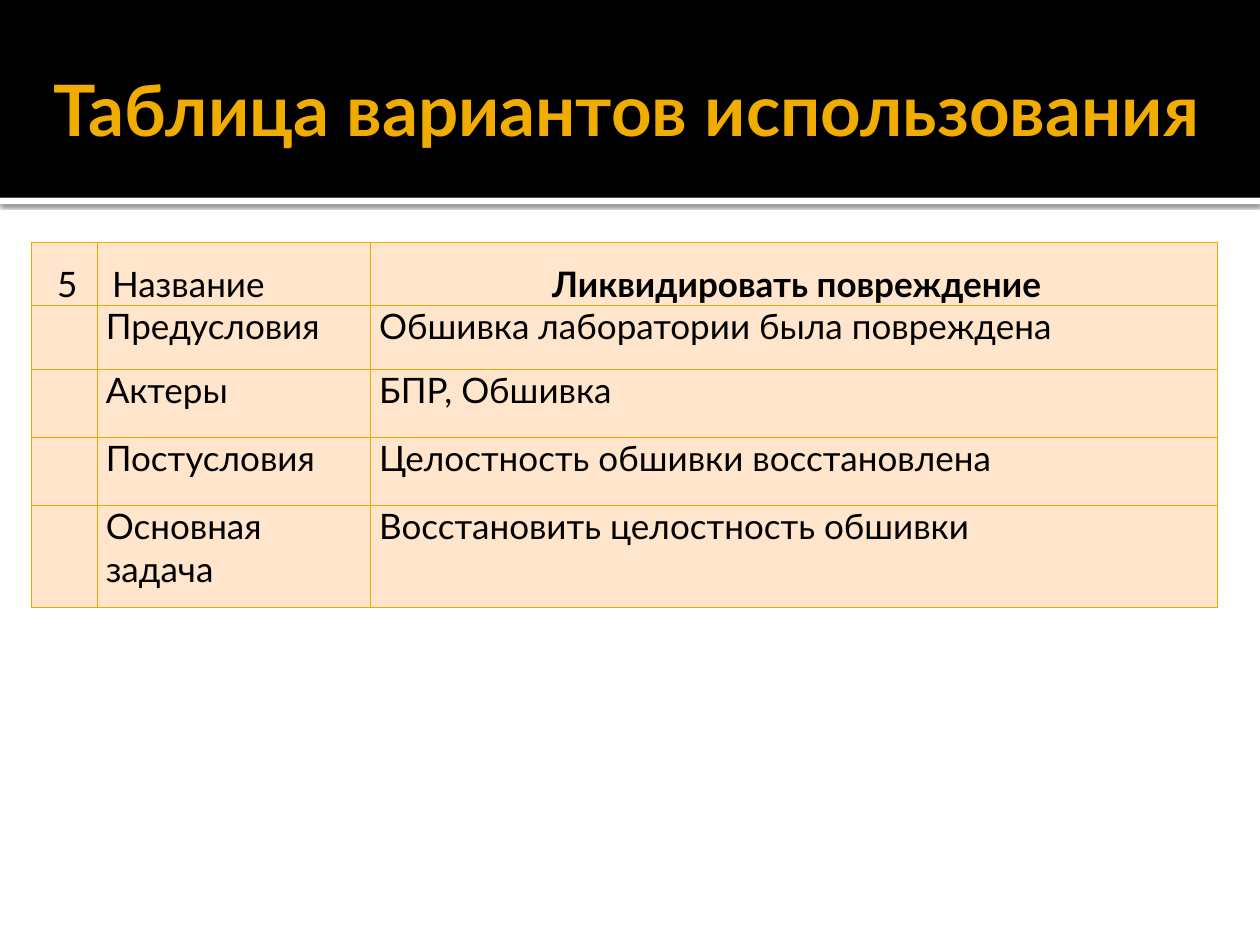
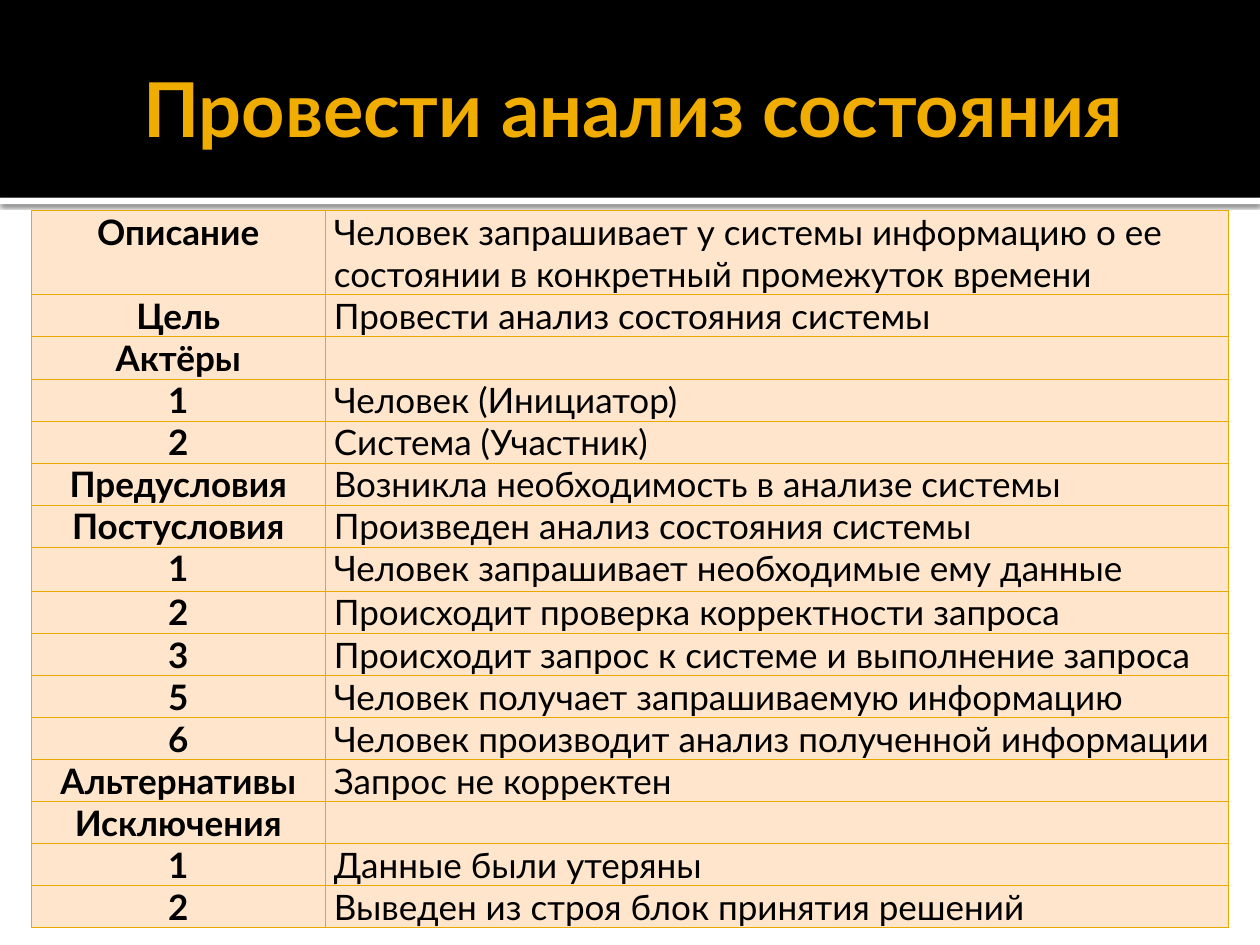
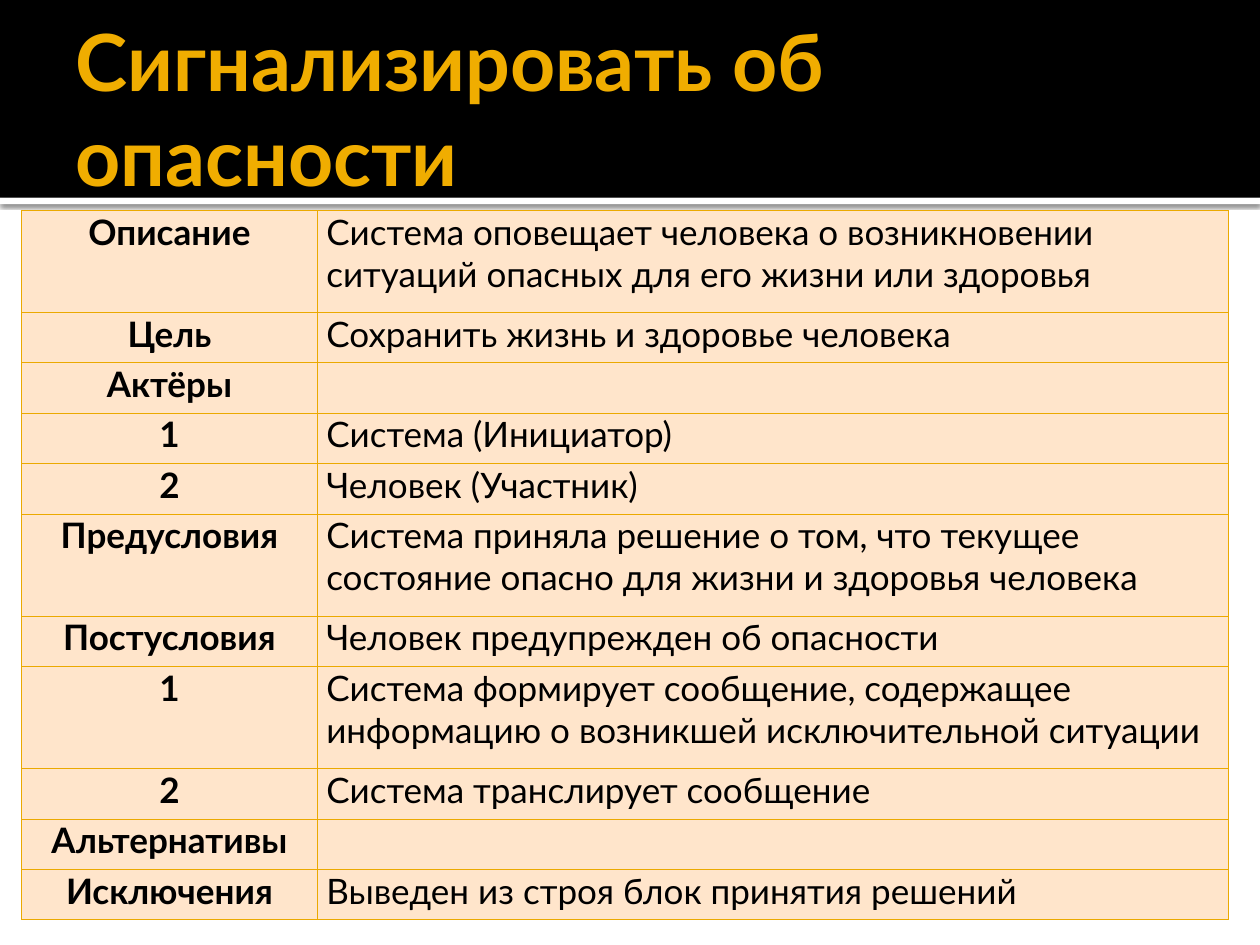
from dataclasses import dataclass

from lxml.etree import SubElement
from pptx import Presentation
from pptx.dml.color import RGBColor
from pptx.enum.shapes import MSO_SHAPE
from pptx.enum.text import MSO_ANCHOR, PP_ALIGN
from pptx.oxml import parse_xml
from pptx.oxml.ns import nsdecls, qn
from pptx.slide import Slide
from pptx.table import _Cell
from pptx.util import Inches, Pt

BLACK = RGBColor(0x00, 0x00, 0x00)
WHITE = RGBColor(0xFF, 0xFF, 0xFF)
GOLD = RGBColor(0xF0, 0xAD, 0x00)
BORDER = RGBColor(0xEB, 0xA9, 0x00)
PEACH = RGBColor(0xFF, 0xE5, 0xCB)
FONT = "Lato"
SLIDE_WIDTH = 10
BAND_HEIGHT = 1.57


@dataclass(frozen=True)
class Title:
    text: str
    size: float
    left: float = 0.5
    width: float = 9
    align: PP_ALIGN = PP_ALIGN.LEFT


@dataclass(frozen=True)
class UseCaseTable:
    left: float
    top: float
    columns: tuple[float, ...]
    row_heights: tuple[float, ...]
    rows: tuple[tuple[str, ...], ...]
    numbered: bool = False


@dataclass(frozen=True)
class UseCase:
    title: Title
    table: UseCaseTable


USE_CASES = (
    UseCase(
        Title("Таблица вариантов использования", 40.5, left=0.33, width=9.42),
        UseCaseTable(
            0.25, 1.92, (0.52, 2.17, 6.72), (0.5, 0.51, 0.54, 0.54, 0.81),
            (
                ("5", "Название", "Ликвидировать повреждение"),
                ("", "Предусловия", "Обшивка лаборатории была повреждена"),
                ("", "Актеры", "БПР, Обшивка"),
                ("", "Постусловия", "Целостность обшивки восстановлена"),
                ("", "Основная задача", "Восстановить целостность обшивки"),
            ),
            numbered=True,
        ),
    ),
    UseCase(
        Title("Провести анализ состояния", 43.2, align=PP_ALIGN.CENTER),
        UseCaseTable(
            0.25, 1.67, (2.33, 7.17), (0.67, *[0.33] * 6, 0.35, *[0.33] * 8),
            (
                ("Описание", "Человек запрашивает у системы информацию о ее "
                             "состоянии в конкретный промежуток времени"),
                ("Цель", "Провести анализ состояния системы"),
                ("Актёры", ""),
                ("1", "Человек (Инициатор)"),
                ("2", "Система (Участник)"),
                ("Предусловия", "Возникла необходимость в анализе системы"),
                ("Постусловия", "Произведен анализ состояния системы"),
                ("1", "Человек запрашивает необходимые ему данные"),
                ("2", "Происходит проверка корректности запроса"),
                ("3", "Происходит запрос к системе и выполнение запроса"),
                ("5", "Человек получает запрашиваемую информацию"),
                ("6", "Человек производит анализ полученной информации"),
                ("Альтернативы", "Запрос не корректен"),
                ("Исключения", ""),
                ("1", "Данные были утеряны"),
                ("2", "Выведен из строя блок принятия решений"),
            ),
        ),
    ),
    UseCase(
        Title("Сигнализировать об опасности", 45),
        UseCaseTable(
            0.17, 1.67, (2.35, 7.23),
            (0.81, *[0.4] * 4, 0.81, 0.4, 0.81, *[0.4] * 3),
            (
                ("Описание", "Система оповещает человека о возникновении "
                             "ситуаций опасных для его жизни или здоровья"),
                ("Цель", "Сохранить жизнь и здоровье человека"),
                ("Актёры", ""),
                ("1", "Система (Инициатор)"),
                ("2", "Человек (Участник)"),
                ("Предусловия", "Система приняла решение о том, что текущее "
                                "состояние опасно для жизни и здоровья человека"),
                ("Постусловия", "Человек предупрежден об опасности"),
                ("1", "Система формирует сообщение, содержащее "
                      "информацию о возникшей исключительной ситуации"),
                ("2", "Система транслирует сообщение"),
                ("Альтернативы", ""),
                ("Исключения", "Выведен из строя блок принятия решений"),
            ),
        ),
    ),
)


def add_band(slide: Slide, top: float, height: float, color: RGBColor, shadow: bool = False) -> None:
    band = slide.shapes.add_shape(
        MSO_SHAPE.RECTANGLE, 0, Inches(top), Inches(SLIDE_WIDTH), Inches(height))
    band.fill.solid()
    band.fill.fore_color.rgb = color
    band.line.fill.background()
    band.shadow.inherit = False
    if shadow:
        effects = band._element.spPr.find(qn("a:effectLst"))
        effects.append(parse_xml(
            f'<a:outerShdw {nsdecls("a")} blurRad="{Pt(2.5)}" dist="{Pt(0.8)}" dir="5400000" '
            f'algn="tl" rotWithShape="0"><a:srgbClr val="{BLACK}"><a:alpha val="60000"/>'
            '</a:srgbClr></a:outerShdw>'))


def add_title(slide: Slide, title: Title) -> None:
    frame = slide.shapes.add_textbox(
        Inches(title.left), Inches(0.17), Inches(title.width), Inches(1.37)).text_frame
    frame.word_wrap = True
    frame.vertical_anchor = MSO_ANCHOR.MIDDLE
    frame.margin_left = Inches(0.1)
    frame.margin_right = frame.margin_top = frame.margin_bottom = Inches(0.05)
    frame.text = title.text
    paragraph = frame.paragraphs[0]
    paragraph.alignment = title.align
    font = paragraph.runs[0].font
    font.name, font.size, font.bold = FONT, Pt(title.size), True
    font.color.rgb = GOLD


def add_borders(cell: _Cell) -> None:
    properties = cell._tc.get_or_add_tcPr()
    for position, side in enumerate(("lnL", "lnR", "lnT", "lnB")):
        line = SubElement(properties, qn(f"a:{side}"), w=str(Pt(0.5)))
        fill = SubElement(line, qn("a:solidFill"))
        SubElement(fill, qn("a:srgbClr"), val=str(BORDER))
        properties.insert(position, line)


def fill_cell(cell: _Cell, text: str, bold: bool, centered: bool, spaced: bool) -> None:
    cell.fill.solid()
    cell.fill.fore_color.rgb = PEACH
    add_borders(cell)
    cell.margin_left = cell.margin_right = Inches(0.07)
    cell.margin_top = cell.margin_bottom = 0
    if not text:
        return
    cell.text_frame.text = text
    paragraph = cell.text_frame.paragraphs[0]
    paragraph.alignment = PP_ALIGN.CENTER if centered else PP_ALIGN.LEFT
    if spaced:
        paragraph.line_spacing = 1.5
        paragraph.space_before = paragraph.space_after = Pt(2)
        paragraph._p.get_or_add_pPr().set("indent", str(Inches(0.05)))
    font = paragraph.runs[0].font
    font.name, font.size, font.bold = FONT, Pt(20), bold
    font.color.rgb = BLACK


def add_use_case_table(slide: Slide, content: UseCaseTable) -> None:
    table = slide.shapes.add_table(
        len(content.rows), len(content.columns), Inches(content.left), Inches(content.top),
        Inches(sum(content.columns)), Inches(sum(content.row_heights))).table
    table.first_row = table.horz_banding = False
    for column, width in zip(table.columns, content.columns):
        column.width = Inches(width)
    for row, height in zip(table.rows, content.row_heights):
        row.height = Inches(height)
    for r, texts in enumerate(content.rows):
        for c, text in enumerate(texts):
            heading = content.numbered and r == 0
            label = not content.numbered and c == 0
            fill_cell(
                table.cell(r, c), text,
                bold=label or (heading and c == 2),
                centered=label or (heading and c != 1),
                spaced=heading)


def main() -> None:
    presentation = Presentation()
    presentation.slide_width = Inches(SLIDE_WIDTH)
    presentation.slide_height = Inches(7.5)
    for use_case in USE_CASES:
        slide = presentation.slides.add_slide(presentation.slide_layouts[6])
        add_band(slide, BAND_HEIGHT, 0.05, WHITE, shadow=True)
        add_band(slide, 0, BAND_HEIGHT, BLACK)
        add_title(slide, use_case.title)
        add_use_case_table(slide, use_case.table)
    presentation.save("out.pptx")


main()
